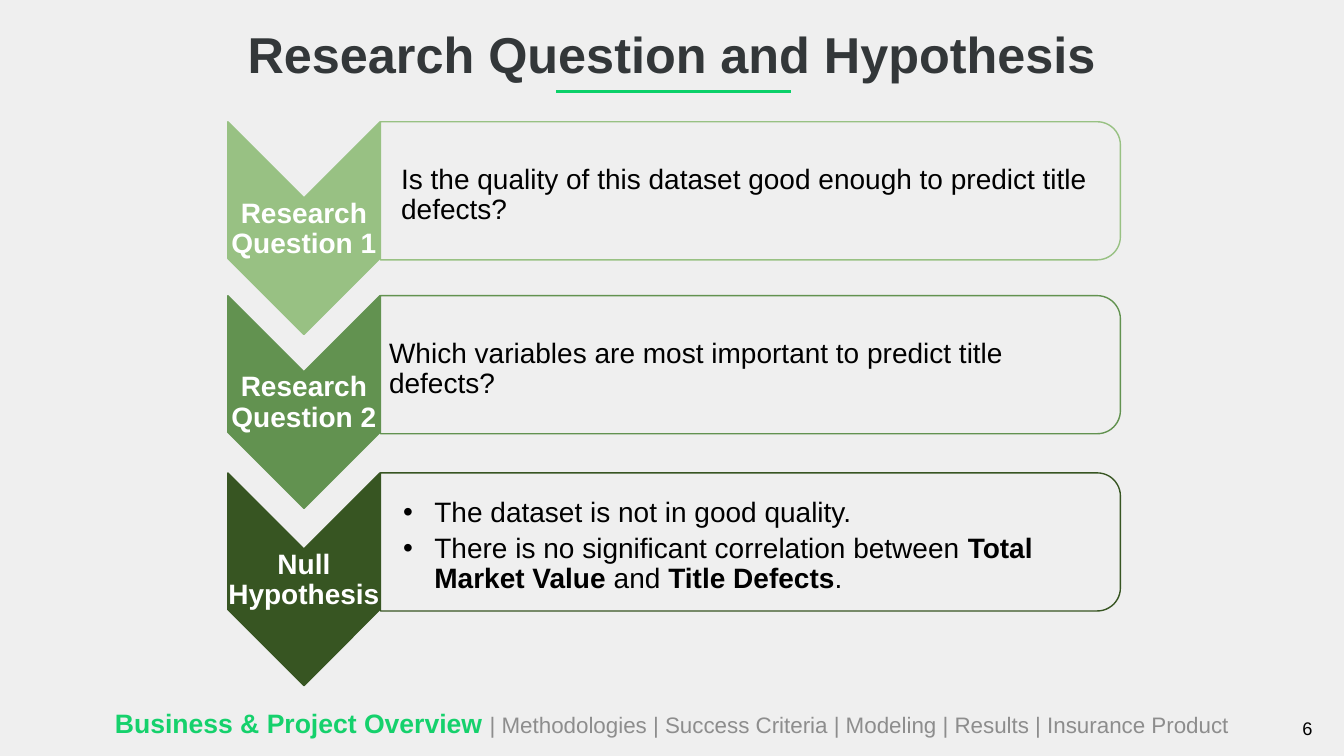
from dataclasses import dataclass
from lxml.etree import SubElement
from pptx import Presentation
from pptx.dml.color import RGBColor
from pptx.enum.shapes import MSO_CONNECTOR, MSO_SHAPE
from pptx.enum.text import MSO_ANCHOR, PP_ALIGN
from pptx.oxml.ns import qn
from pptx.slide import Slide
from pptx.util import Inches, Pt

COLORS = {
    "background": "EFEFEF", "title": "333739", "accent": "0BD069",
    "current": "15D16C", "section": "4C4C4C", "black": "000000", "white": "FFFFFF",
    "light": "98C183", "medium": "629250", "dark": "375522",
}
COLUMNS, ROWS = 160, 90
WIDTH, HEIGHT = Inches(13.3333), Inches(7.5)


def columns(count):
    return round(count * WIDTH / COLUMNS)


def rows(count):
    return round(count * HEIGHT / ROWS)


def box(left, top, width, height):
    return columns(left), rows(top), columns(width), rows(height)


def color(name):
    return RGBColor.from_string(COLORS[name])


def set_opacity(properties, percent):
    target = properties.find(qn("a:solidFill"))[0]
    SubElement(target, qn("a:alpha"), val=str(percent * 1000))


@dataclass
class SlideBuilder:
    slide: Slide
    font: str = "Arial"
    body_size: int = 20

    def style_run(self, run, size, color_name, bold=False):
        run.font.name = self.font
        run.font.size = Pt(size)
        run.font.bold = bold
        run.font.color.rgb = color(color_name)

    def prepare_frame(self, frame, insets, anchor=MSO_ANCHOR.TOP):
        frame.word_wrap = True
        frame.vertical_anchor = anchor
        frame.margin_left, frame.margin_top, frame.margin_right, frame.margin_bottom = map(Inches, insets)

    def title(self, text, place):
        shape = self.slide.shapes.title
        shape.left, shape.top, shape.width, shape.height = box(*place)
        frame = shape.text_frame
        frame.text = text
        self.prepare_frame(frame, (0, 0.05, 0, 0.05))
        paragraph = frame.paragraphs[0]
        paragraph.alignment = PP_ALIGN.CENTER
        self.style_run(paragraph.runs[0], 36, "title", True)

    def text(self, paragraphs, place, insets, size=None, color_name="black",
             alignment=PP_ALIGN.LEFT, anchor=MSO_ANCHOR.TOP, spacing=1.0, bulleted=False):
        frame = self.slide.shapes.add_textbox(*box(*place)).text_frame
        self.prepare_frame(frame, insets, anchor)
        for index, parts in enumerate(paragraphs):
            paragraph = frame.add_paragraph() if index else frame.paragraphs[0]
            paragraph.alignment = alignment
            paragraph.line_spacing = spacing
            if bulleted:
                self.bullet(paragraph)
                if index:
                    paragraph.space_before = Pt(4)
            for content, bold in parts:
                run = paragraph.add_run()
                run.text = content
                self.style_run(run, size or self.body_size, color_name, bold)
        return frame

    def bullet(self, paragraph):
        properties = paragraph._p.get_or_add_pPr()
        properties.set("marL", str(Inches(0.33)))
        properties.set("indent", str(Inches(-0.31)))
        bullet_color = SubElement(properties, qn("a:buClr"))
        SubElement(bullet_color, qn("a:srgbClr"), val=COLORS["black"])
        SubElement(properties, qn("a:buFont"), typeface=self.font)
        SubElement(properties, qn("a:buChar"), char="•")

    def turned_shape(self, kind, place, fill, line, adjustments, opacity=None):
        left, top, width, height = box(*place)
        shift = (width - height) // 2
        shape = self.slide.shapes.add_shape(kind, left + shift, top - shift, height, width)
        shape.rotation = 90
        shape.shadow.inherit = False
        for index, value in enumerate(adjustments):
            shape.adjustments[index] = value
        shape.fill.solid()
        shape.fill.fore_color.rgb = color(fill)
        shape.line.color.rgb = color(line)
        shape.line.width = Pt(1)
        if opacity is not None:
            set_opacity(shape._element.spPr, opacity)

    def rule(self, left, right, row):
        connector = self.slide.shapes.add_connector(
            MSO_CONNECTOR.STRAIGHT, columns(left), rows(row), columns(right), rows(row))
        connector.line.color.rgb = color("accent")
        connector.line.width = Pt(2.25)
        SubElement(connector._element.spPr, qn("a:effectLst"))

    def step(self, top, tint, label, paragraphs, text_left, bulleted):
        self.turned_shape(MSO_SHAPE.CHEVRON, (27.12, top, 18.12, 25.32), tint, tint, [0.5])
        self.text([[(label, True)]], (26.53, top + 9, 19.3, 7.56), (0.01,) * 4,
                  color_name="white", alignment=PP_ALIGN.CENTER,
                  anchor=MSO_ANCHOR.MIDDLE, spacing=0.9)
        self.turned_shape(MSO_SHAPE.ROUND_2_SAME_RECTANGLE, (45.3, top, 88.08, 16.44),
                          "background", tint, [0.167, 0], 90)
        self.text(paragraphs, (text_left, top + 1.3, 87.24, 14.88), (0.21, 0.02, 0.02, 0.02),
                  anchor=MSO_ANCHOR.MIDDLE, spacing=0.9, bulleted=bulleted)

    def footer(self, current, others):
        frame = self.text([[(current, True), (others, False)]], (0, 83.52, COLUMNS, 5.04),
                          (0.1, 0.05, 0.1, 0.05), 19, "current", PP_ALIGN.CENTER)
        run = frame.paragraphs[0].runs[1]
        self.style_run(run, 16, "section")
        set_opacity(run._r.rPr, 60)


STEPS = [
    (14.5, "light", "Research Question 1",
     [[("Is the quality of this dataset good enough to predict title defects?", False)]],
     45.24, False),
    (35.2, "medium", "Research Question 2",
     [[("Which variables are most important to predict title defects?", False)]],
     43.8, False),
    (56.3, "dark", "Null Hypothesis",
     [[("The dataset is not in good quality.", False)],
      [("There is no significant correlation between ", False), ("Total Market Value ", True),
       ("and ", False), ("Title Defects", True), (".", False)]],
     45.24, True),
]


def main():
    presentation = Presentation()
    presentation.slide_width, presentation.slide_height = WIDTH, HEIGHT
    slide = presentation.slides.add_slide(presentation.slide_layouts[5])
    slide.background.fill.solid()
    slide.background.fill.fore_color.rgb = color("background")
    builder = SlideBuilder(slide)
    builder.title("Research Question and Hypothesis", (28.2, 2.16, 103.56, 7.68))
    builder.rule(66.24, 94.2, 10.92)
    for step in STEPS:
        builder.step(*step)
    builder.footer("Business & Project Overview ",
                   "| Methodologies | Success Criteria | Modeling | Results | Insurance Product")
    builder.text([[("6", False)]], (149.88, 84.96, 7.2, 5.04), (0.07, 0.04, 0.07, 0.04),
                 13, alignment=PP_ALIGN.RIGHT)
    presentation.save("out.pptx")


if __name__ == "__main__":
    main()
